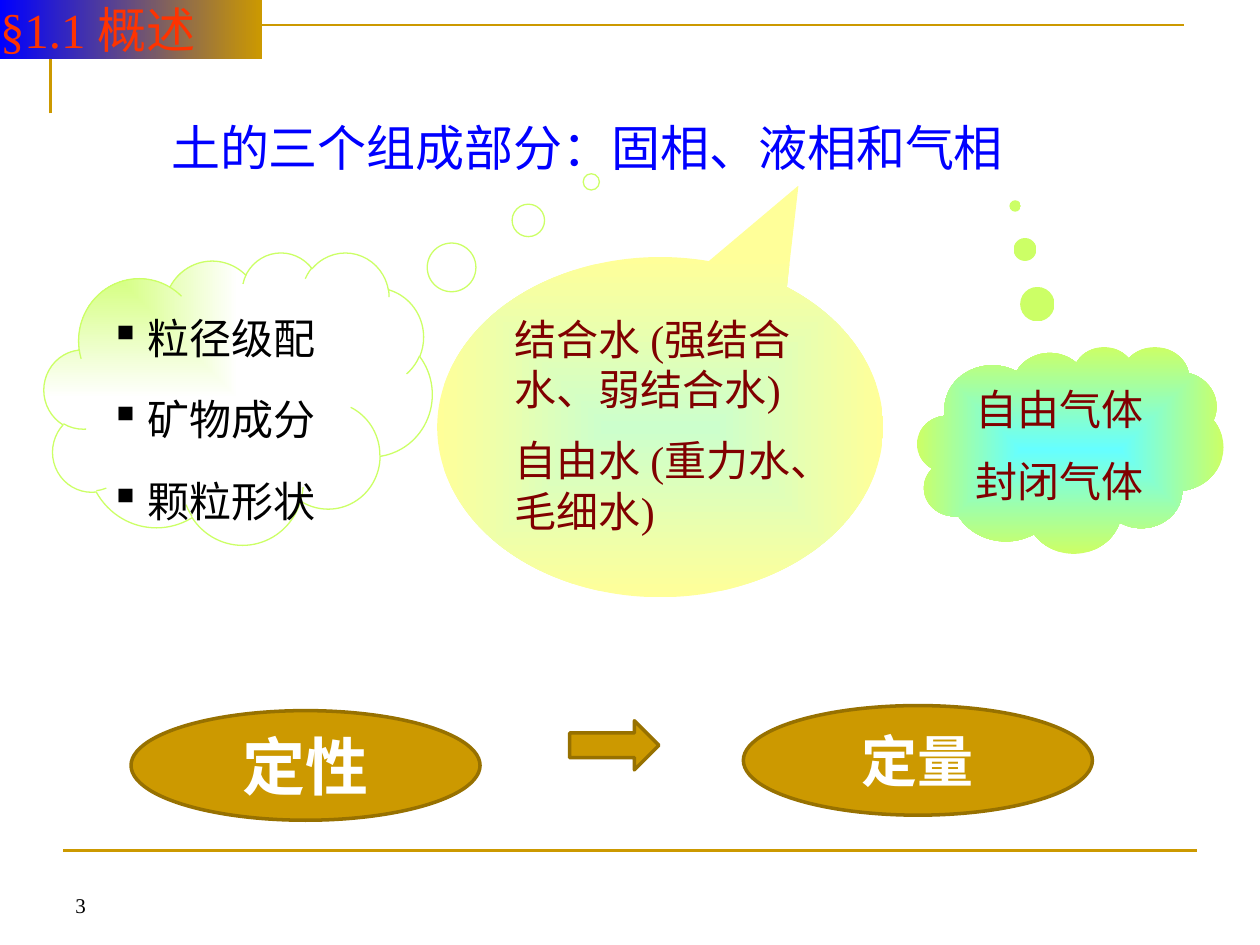
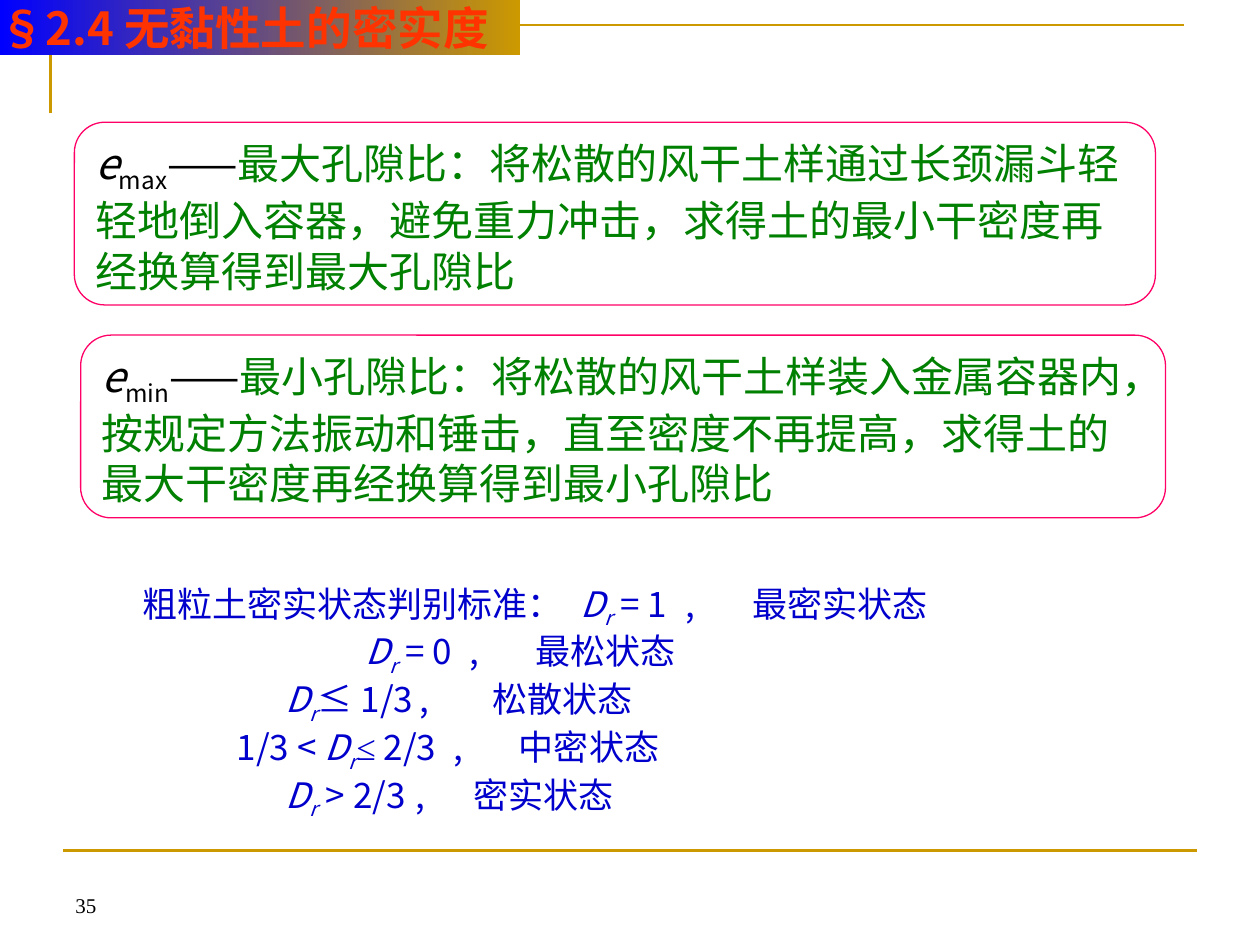
from lxml import etree
from pptx import Presentation
from pptx.dml.color import RGBColor
from pptx.enum.shapes import MSO_CONNECTOR, MSO_SHAPE
from pptx.enum.text import MSO_ANCHOR, PP_ALIGN
from pptx.oxml.ns import qn
from pptx.util import Inches, Pt

# Grid: 100 columns by 75 rows of square cells
CELL = Inches(0.1)
COLUMNS, ROWS = 100, 75

RECT, OVAL = MSO_SHAPE.RECTANGLE, MSO_SHAPE.OVAL
ROUNDED, ARROW = MSO_SHAPE.ROUNDED_RECTANGLE, MSO_SHAPE.RIGHT_ARROW
CLOUD, BALLOON = MSO_SHAPE.CLOUD_CALLOUT, MSO_SHAPE.OVAL_CALLOUT
STRAIGHT = MSO_CONNECTOR.STRAIGHT
LEFT, CENTER = PP_ALIGN.LEFT, PP_ALIGN.CENTER
TOP, MIDDLE, BOTTOM = MSO_ANCHOR.TOP, MSO_ANCHOR.MIDDLE, MSO_ANCHOR.BOTTOM

GOLD = RGBColor(0xCC, 0x99, 0x00)
BROWN = RGBColor(0x97, 0x71, 0x00)
BLUE = RGBColor(0x00, 0x00, 0xFF)
NAVY = RGBColor(0x00, 0x00, 0xCC)
RED = RGBColor(0xFF, 0x33, 0x00)
PINK = RGBColor(0xFF, 0x00, 0x66)
MAROON = RGBColor(0x80, 0x00, 0x00)
GREEN = RGBColor(0x00, 0x80, 0x00)
LIME = RGBColor(0xCC, 0xFF, 0x66)
MINT = RGBColor(0xCC, 0xFF, 0xCC)
YELLOW = RGBColor(0xFF, 0xFF, 0x99)
CYAN = RGBColor(0x66, 0xFF, 0xFF)
BLACK = RGBColor(0x00, 0x00, 0x00)
WHITE = RGBColor(0xFF, 0xFF, 0xFF)

SERIF, SANS, HEAVY = "Times New Roman", "Noto Sans CJK SC", "Noto Sans CJK JP"


def style(size, name, color, **extra):
    return {"size": Pt(size), "name": name, "color": color, **extra}


FOOTER = style(12, SERIF, BLACK)
HEADING = style(28, SERIF, BLUE)
SOLID_PHASE = style(24, SERIF, BLACK)
FLUID_PHASE = style(24, SERIF, MAROON)
SYMBOL = style(24, SANS, BLACK)
DEFINITION = style(24, SERIF, GREEN)
CRITERION = style(20, SANS, NAVY)
ITALIC = {"italic": True}
SUBSCRIPT = {"baseline": -25000}


# Text

def add_span(para, text, form):
    span = para.add_run()
    span.text = text
    for key, value in form.items():
        if key == "color":
            span.font.color.rgb = value
        elif key == "baseline":
            span._r.get_or_add_rPr().set(key, str(value))
        else:
            setattr(span.font, key, value)


def write(box, paras, align=LEFT, anchor=TOP, margin=None, **spacing):
    """Each paragraph is a list of (text, format) spans."""
    frame = box.text_frame
    frame.word_wrap = True
    frame.vertical_anchor = anchor
    if margin is not None:
        for side in ("left", "top", "right", "bottom"):
            setattr(frame, f"margin_{side}", margin)
    for index, spans in enumerate(paras):
        para = frame.paragraphs[0] if index == 0 else frame.add_paragraph()
        para.alignment = align
        for key, value in spacing.items():
            if index or key != "space_before":
                setattr(para, key, value)
        for text, form in spans:
            add_span(para, text, form)
    return frame.paragraphs


def add_bullet(para, indent):
    props = para._p.get_or_add_pPr()
    props.set("marL", str(indent))
    props.set("indent", str(-indent))
    etree.SubElement(props, qn("a:buChar"), char="▪")


def add_tabs(para, stops):
    tabs = etree.SubElement(para._p.get_or_add_pPr(), qn("a:tabLst"))
    for stop in stops:
        etree.SubElement(tabs, qn("a:tab"), pos=str(int(stop * CELL)), algn="l")


# Shapes

def cells(*lengths):
    return [int(length * CELL) for length in lengths]


def add_box(page, place):
    return page.shapes.add_textbox(*cells(*place))


def add_gradient(shape, start, end, focus=None):
    """Left to right, or spreading from a rectangle when focus is given."""
    shape.fill.gradient()
    shape.fill.gradient_angle = 0
    for position, color in enumerate((start, end)):
        stop = shape.fill.gradient_stops[position]
        stop.color.rgb = color
        stop.position = position
    if focus:
        gradient = shape._element.spPr.find(qn("a:gradFill"))
        gradient.remove(gradient.find(qn("a:lin")))
        spread = etree.SubElement(gradient, qn("a:path"), path="rect")
        sides = {side: str(share * 1000) for side, share in zip("ltrb", focus)}
        etree.SubElement(spread, qn("a:fillToRect"), **sides)


def add_figure(page, kind, place, fill=None, line=None, width=0.75, tip=()):
    """The fill is one colour, or a list of gradient settings."""
    shape = page.shapes.add_shape(kind, *cells(*place))
    shape.shadow.inherit = False
    for index, value in enumerate(tip):
        shape.adjustments[index] = value
    if fill is None:
        shape.fill.background()
    elif isinstance(fill, RGBColor):
        shape.fill.solid()
        shape.fill.fore_color.rgb = fill
    else:
        add_gradient(shape, *fill)
    if line is None:
        shape.line.fill.background()
    else:
        shape.line.color.rgb = line
        shape.line.width = Pt(width)
    return shape


# Parts that both slides share

def add_frame(page, number):
    builder = page.shapes.build_freeform(4.2, 9.2, scale=CELL)
    builder.add_line_segments([(4.2, 2.5), (94.2, 2.5)], close=False)
    corner = builder.convert_to_shape()
    corner.shadow.inherit = False
    corner.fill.background()
    rule = page.shapes.add_connector(STRAIGHT, *cells(5, 67.5, 95, 67.5))
    etree.SubElement(rule._element.spPr, qn("a:effectLst"))
    for stroke in (corner.line, rule.line):
        stroke.color.rgb = GOLD
        stroke.width = Pt(1.5)
    write(add_box(page, (5, 68.3, 23.3, 5)), [[(number, FOOTER)]], anchor=BOTTOM)


def add_section_band(page, text, width, height, form):
    band = add_figure(page, RECT, (0, 0, width, height), [BLUE, GOLD])
    write(band, [[(text, form)]], margin=0)


# Slide 1: the three phases of soil

def add_phase(page, kind, place, fill, tip, items, form, line=None, **layout):
    callout = add_figure(page, kind, place, fill, line, tip=tip)
    return write(callout, [[(item, form)] for item in items],
                 space_before=Pt(12), **layout)


def add_stage(page, text, top, left, size):
    oval = add_figure(page, OVAL, (left, top, 27.7, 8.7), GOLD, BROWN, 2)
    write(oval, [[(text, style(size, "Arial", WHITE, bold=True))]], CENTER, MIDDLE)


def build_phases(page):
    add_frame(page, "3")
    heading = add_box(page, (9.1, 8.8, 79.5, 5.7))
    para = write(heading, [[("土的三个组成部分：固相、液相和气相", HEADING)]])[0]
    para._p.get_or_add_pPr().set("marL", str(int(3.5 * CELL)))

    centre = (50, 50, 50, 50)
    solids = add_phase(
        page, CLOUD, (3.5, 20, 30.8, 23.2), [LIME, WHITE, (0, 0, 100, 100)],
        (0.91, -0.74), ["粒径级配", "矿物成分", "颗粒形状"], SOLID_PHASE,
        LIME, line_spacing=1.2)
    for para in solids:
        add_bullet(para, Inches(0.3))
    add_phase(
        page, BALLOON, (34.7, 20.4, 35.4, 27), [MINT, YELLOW, centre],
        (0.31, -0.71), ["结合水 (强结合水、弱结合水)", "自由水 (重力水、毛细水)"],
        FLUID_PHASE)
    add_phase(
        page, CLOUD, (72.8, 27.5, 24.3, 16.4), [CYAN, LIME, centre],
        (-0.18, -1.18), ["自由气体", "封闭气体"], FLUID_PHASE, align=CENTER)

    add_section_band(page, "§1.1 概述", 20.8, 4.7, style(28, SERIF, RED))
    add_stage(page, "定性", 56.4, 10.4, 36)
    add_stage(page, "定量", 56, 59, 32)
    add_figure(page, ARROW, (45.2, 57.2, 7.1, 3.9), GOLD, BROWN, 2)


# Slide 2: density of cohesionless soil

def add_definition(page, place, index, meaning):
    card = add_figure(page, ROUNDED, place, line=PINK)
    write(card, [[("e", SYMBOL | ITALIC), (index, SYMBOL | SUBSCRIPT),
                  ("——", SYMBOL), (meaning, DEFINITION)]])


def add_criteria(page, place, rows):
    """Each row: text before D, relation, its font, value, state, tab stops."""
    density = [("D", CRITERION | ITALIC), ("r", CRITERION | ITALIC | SUBSCRIPT)]
    lines = [[("\t" + before, CRITERION), *density,
              (relation, CRITERION | {"name": face}),
              (f" {value}\t,\t{state}", CRITERION)]
             for before, relation, face, value, state, stops in rows]
    for para, row in zip(write(add_box(page, place), lines), rows):
        add_tabs(para, row[-1])


def build_density(page):
    add_frame(page, "35")
    add_definition(
        page, (5.9, 9.7, 85.8, 14.5), "max",
        "最大孔隙比：将松散的风干土样通过长颈漏斗轻轻地倒入容器，"
        "避免重力冲击，求得土的最小干密度再经换算得到最大孔隙比")
    add_definition(
        page, (6.4, 26.6, 86.1, 14.5), "min",
        "最小孔隙比：将松散的风干土样装入金属容器内，按规定方法振动和锤击，"
        "直至密度不再提高，求得土的最大干密度再经换算得到最小孔隙比")
    add_criteria(page, (5.3, 45.7, 87.5, 17.7), [
        ("粗粒土密实状态判别标准：\t", " =", SANS, "1", "最密实状态",
         (5, 39.8, 48.1, 53.4)),
        ("", " =", SANS, "0", "最松状态", (22.7, 31, 36.2)),
        ("", "≤", HEAVY, "1/3", "松散状态", (16.4, 27, 32.8)),
        ("1/3 < ", "≤", SERIF, "2/3", "中密状态", (12.5, 29.7, 34.9)),
        ("", " >", HEAVY, "2/3", "密实状态", (16.4, 26.7, 31.3)),
    ])
    add_section_band(page, "§2.4 无黏性土的密实度", 41.3, 4.4,
                     style(26, HEAVY, RED, bold=True))


def main():
    deck = Presentation()
    deck.slide_width, deck.slide_height = cells(COLUMNS, ROWS)
    for build in (build_phases, build_density):
        build(deck.slides.add_slide(deck.slide_layouts[6]))
    deck.save("out.pptx")


if __name__ == "__main__":
    main()
